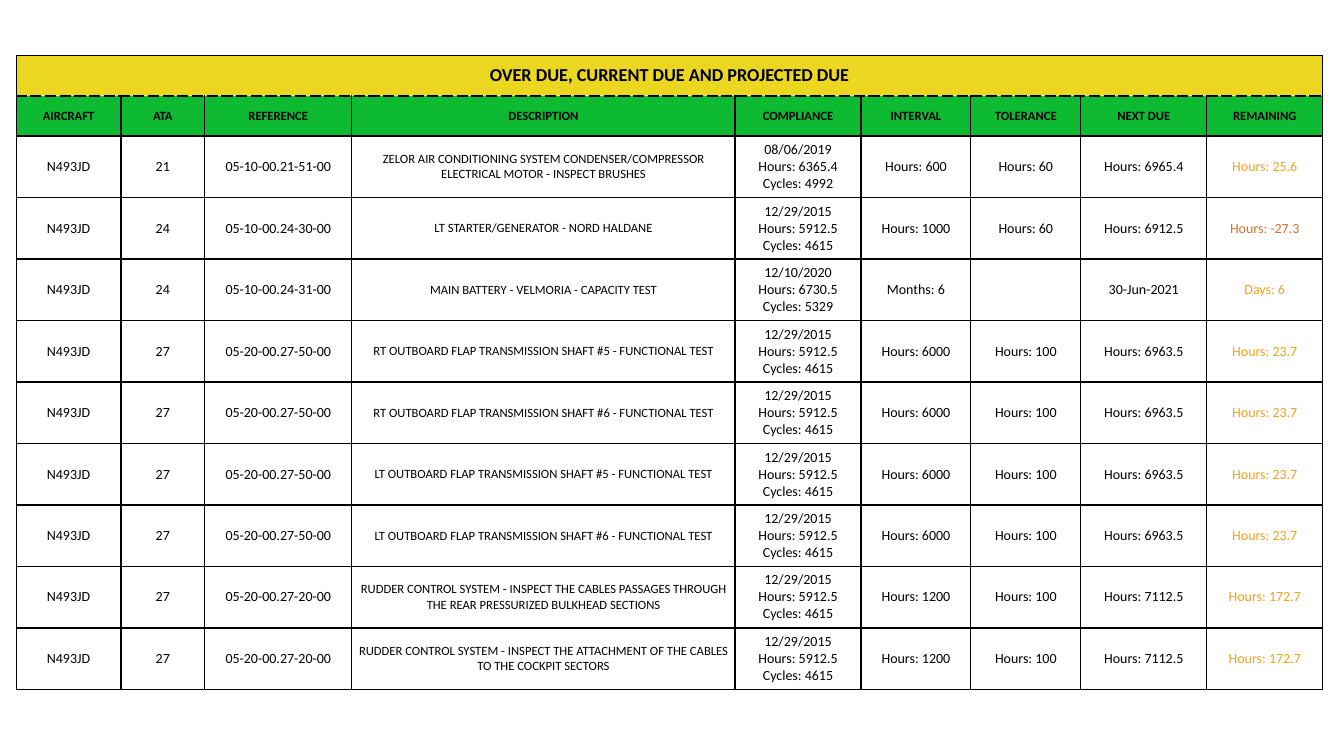
from lxml.etree import SubElement
from pptx import Presentation
from pptx.dml.color import RGBColor
from pptx.enum.text import MSO_ANCHOR as Anchor, PP_ALIGN as Align
from pptx.oxml.ns import qn
from pptx.util import Inches, Pt

BLACK = RGBColor(0x00, 0x00, 0x00)
WHITE = RGBColor(0xFF, 0xFF, 0xFF)
YELLOW = RGBColor(0xEA, 0xD4, 0x0E)
GREEN = RGBColor(0x0D, 0xBA, 0x32)
AMBER = RGBColor(0xF3, 0x9C, 0x12)
RUST = RGBColor(0xD3, 0x54, 0x00)
OPACITY = {YELLOW: 92, AMBER: 95, RUST: 83}

TITLE = "OVER DUE, CURRENT DUE AND PROJECTED DUE"
COLUMNS = [
    ("AIRCRAFT", 1.04), ("ATA", 0.83), ("REFERENCE", 1.46),
    ("DESCRIPTION", 3.8), ("COMPLIANCE", 1.25), ("INTERVAL", 1.09),
    ("TOLERANCE", 1.09), ("NEXT DUE", 1.25), ("REMAINING", 1.15),
]
REFERENCE, DESCRIPTION, REMAINING = 2, 3, 8
AIRCRAFT = "N493JD"
LAST_CHECK = "12/29/2015\vHours: 5912.5\vCycles: 4615"
FLAP_LIMITS = (LAST_CHECK, "Hours: 6000", "Hours: 100", "Hours: 6963.5", "Hours: 23.7")
RUDDER_LIMITS = (LAST_CHECK, "Hours: 1200", "Hours: 100", "Hours: 7112.5", "Hours: 172.7")

# Inspections: ATA, reference, description, compliance, interval, tolerance, next due, remaining
inspections = [
    ("21", "05-10-00.21-51-00",
     "ZELOR AIR CONDITIONING SYSTEM CONDENSER/COMPRESSOR ELECTRICAL MOTOR - INSPECT BRUSHES",
     "08/06/2019\vHours: 6365.4\vCycles: 4992",
     "Hours: 600", "Hours: 60", "Hours: 6965.4", "Hours: 25.6"),
    ("24", "05-10-00.24-30-00", "LT STARTER/GENERATOR - NORD HALDANE",
     LAST_CHECK, "Hours: 1000", "Hours: 60", "Hours: 6912.5", "Hours: -27.3"),
    ("24", "05-10-00.24-31-00", "MAIN BATTERY - VELMORIA - CAPACITY TEST",
     "12/10/2020\vHours: 6730.5\vCycles: 5329",
     "Months: 6", "", "30-Jun-2021", "Days: 6"),
]
for side in ("RT", "LT"):
    for shaft in (5, 6):
        flap_test = f"{side} OUTBOARD FLAP TRANSMISSION SHAFT #{shaft} - FUNCTIONAL TEST"
        inspections.append(("27", "05-20-00.27-50-00", flap_test, *FLAP_LIMITS))
for target in ("CABLES PASSAGES THROUGH THE REAR PRESSURIZED BULKHEAD SECTIONS",
               "ATTACHMENT OF THE CABLES TO THE COCKPIT SECTORS"):
    rudder_check = f"RUDDER CONTROL SYSTEM - INSPECT THE {target}"
    inspections.append(("27", "05-20-00.27-20-00", rudder_check, *RUDDER_LIMITS))


def set_border(cell, side, color=BLACK, width=1, dash="solid"):
    line = SubElement(cell._tc.get_or_add_tcPr(), qn(f"a:ln{side}"), w=str(Pt(width)))
    SubElement(SubElement(line, qn("a:solidFill")), qn("a:srgbClr"), val=str(color))
    SubElement(line, qn("a:prstDash"), val=dash)


def set_color(fill, color, parent):
    fill.solid()
    fill.fore_color.rgb = color
    if color in OPACITY:
        swatch = parent.find(qn("a:solidFill")).find(qn("a:srgbClr"))
        SubElement(swatch, qn("a:alpha"), val=str(OPACITY[color] * 1000))


prs = Presentation()
prs.slide_width, prs.slide_height = Inches(13.33), Inches(7.29)
slide = prs.slides.add_slide(prs.slide_layouts[6])

# Table grid: empty top row, title, headings, inspections
headings = [name for name, _ in COLUMNS]
blank_row = [""] * len(COLUMNS)
rows = [blank_row, [TITLE] + blank_row[1:], headings]
rows += [(AIRCRAFT, *inspection) for inspection in inspections]
heights = [0.39, 0.4, 0.4] + [0.61] * len(inspections)
schedule = slide.shapes.add_table(
    len(rows), len(COLUMNS), Inches(0.16), Inches(0.16),
    Inches(sum(width for _, width in COLUMNS)), Inches(sum(heights))).table
schedule.first_row = schedule.horz_banding = False
for column, (_, width) in zip(schedule.columns, COLUMNS):
    column.width = Inches(width)
for row, height in zip(schedule.rows, heights):
    row.height = Inches(height)
schedule.cell(1, 0).merge(schedule.cell(1, len(COLUMNS) - 1))

# Cell borders, fills and text
for r, texts in enumerate(rows):
    for c, text in enumerate(texts):
        cell = schedule.cell(r, c)
        edge = WHITE if r == 0 else BLACK
        set_border(cell, "L", edge)
        set_border(cell, "R", edge)
        if r == 2:
            set_border(cell, "T", width=2, dash="dash")
        else:
            set_border(cell, "T", edge)
        set_border(cell, "B", dash="dash" if r == 1 else "solid")

        if r in (1, 2):
            set_color(cell.fill, YELLOW if r == 1 else GREEN, cell._tc.tcPr)
        else:
            cell.fill.background()

        tight = r == 0 or (r > 2 and c in (REFERENCE, DESCRIPTION))
        margin = 0.01 if tight else 0.05
        cell.margin_left = cell.margin_right = Inches(margin)
        cell.margin_top = cell.margin_bottom = Inches(margin)
        cell.vertical_anchor = Anchor.MIDDLE
        if not text:
            continue

        color = BLACK
        if r > 2 and c == REMAINING:
            color = RUST if "-" in text else AMBER
        size = 13 if r == 1 else 9 if r == 2 or c == DESCRIPTION else 10
        paragraph = cell.text_frame.paragraphs[0]
        paragraph.text = text
        paragraph.alignment = Align.CENTER
        for run in paragraph.runs:
            run.font.name = "Calibri"
            run.font.size = Pt(size)
            run.font.bold = r <= 2
            set_color(run.font.fill, color, run._r.rPr)

prs.save("out.pptx")
